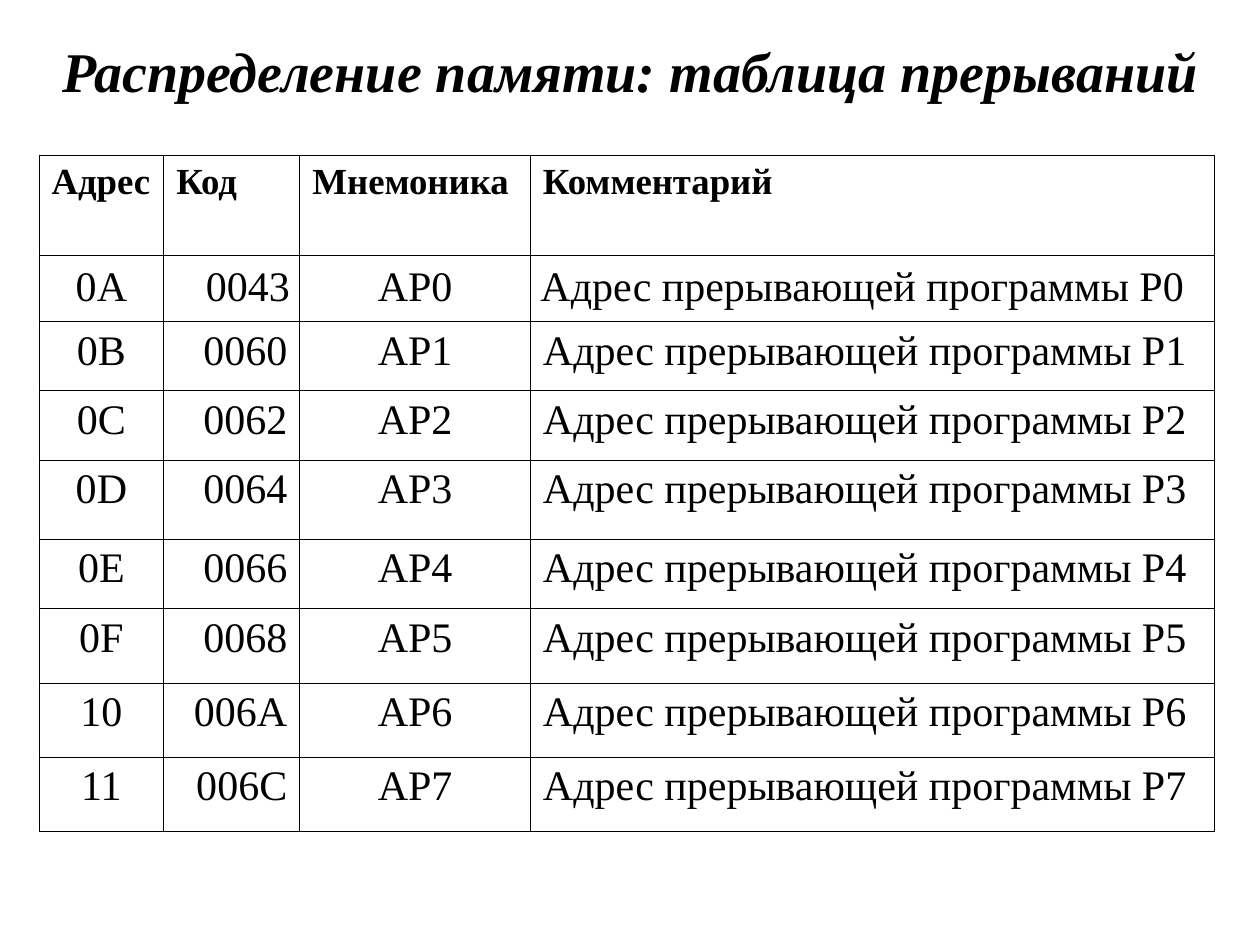
from lxml import etree
from pptx import Presentation
from pptx.dml.color import RGBColor
from pptx.enum.text import MSO_ANCHOR, PP_ALIGN
from pptx.oxml.ns import qn
from pptx.util import Inches, Pt

# Content
TITLE = "Распределение памяти: таблица прерываний"
HEADER = ["Адрес", "Код", "Мнемоника", "Комментарий"]
CODES = ["0043", "0060", "0062", "0064", "0066", "0068", "006A", "006C"]
FIRST_ADDRESS = 0x0A
ROWS = [
    (f"{FIRST_ADDRESS + i:02X}", code, f"AP{i}", f"Адрес прерывающей программы P{i}")
    for i, code in enumerate(CODES)
]

# Format
COLORS = {"text": "000000", "border": "000000", "background": "FFFFFF"}
FONT = "Times New Roman"
COL_WIDTHS = [0.99, 1.08, 1.83, 5.43]
ROW_HEIGHTS = [0.8, 0.51, 0.55, 0.55, 0.63, 0.55, 0.59, 0.59, 0.59]
BODY_ALIGNS = [PP_ALIGN.CENTER, PP_ALIGN.RIGHT, PP_ALIGN.CENTER, PP_ALIGN.JUSTIFY]
BORDER_WIDTH = Pt(0.45)


def write(tf, text, size, align, bold=False, italic=False, spacing=None):
    tf.word_wrap = True
    p = tf.paragraphs[0]
    p.alignment = align
    if spacing:
        p.line_spacing = spacing
    r = p.add_run()
    r.text = text
    r.font.name = FONT
    r.font.size = Pt(size)
    r.font.bold = bold
    r.font.italic = italic
    r.font.color.rgb = RGBColor.from_string(COLORS["text"])


def set_margins(box, left, right):
    box.margin_left, box.margin_right = Inches(left), Inches(right)
    box.margin_top = box.margin_bottom = Inches(0.05)


def add_borders(cell):
    tcPr = cell._tc.get_or_add_tcPr()
    for tag in ("a:lnL", "a:lnR", "a:lnT", "a:lnB"):
        ln = etree.SubElement(tcPr, qn(tag), w=str(BORDER_WIDTH))
        fill = etree.SubElement(ln, qn("a:solidFill"))
        etree.SubElement(fill, qn("a:srgbClr"), val=COLORS["border"])


prs = Presentation()
prs.slide_width, prs.slide_height = Inches(10), Inches(7.5)
s = prs.slides.add_slide(prs.slide_layouts[6])
s.background.fill.solid()
s.background.fill.fore_color.rgb = RGBColor.from_string(COLORS["background"])

# Title
sp = s.shapes.add_textbox(Inches(0.2), Inches(0.17), Inches(9.61), Inches(0.77))
tf = sp.text_frame
tf.vertical_anchor = MSO_ANCHOR.MIDDLE
set_margins(tf, 0.1, 0.1)
write(tf, TITLE, 32, PP_ALIGN.CENTER, bold=True, italic=True)

# Interrupt table
table = s.shapes.add_table(
    len(ROW_HEIGHTS), len(COL_WIDTHS), Inches(0.31), Inches(1.23),
    Inches(sum(COL_WIDTHS)), Inches(sum(ROW_HEIGHTS)),
).table
table.first_row = table.horz_banding = False
for col, width in zip(table.columns, COL_WIDTHS):
    col.width = Inches(width)
for row, height in zip(table.rows, ROW_HEIGHTS):
    row.height = Inches(height)

for i, texts in enumerate([HEADER, *ROWS]):
    for j, text in enumerate(texts):
        cell = table.cell(i, j)
        add_borders(cell)
        cell.fill.background()
        if i == 0:
            # A narrow right margin keeps each heading on one line
            set_margins(cell, 0.1, 0.05)
            write(cell.text_frame, text, 21, PP_ALIGN.JUSTIFY, bold=True)
        else:
            side = 0.08 if i == 1 else 0.1
            set_margins(cell, side, side)
            write(cell.text_frame, text, 24, BODY_ALIGNS[j],
                  spacing=1.05 if i == 1 else None)

prs.save("out.pptx")
